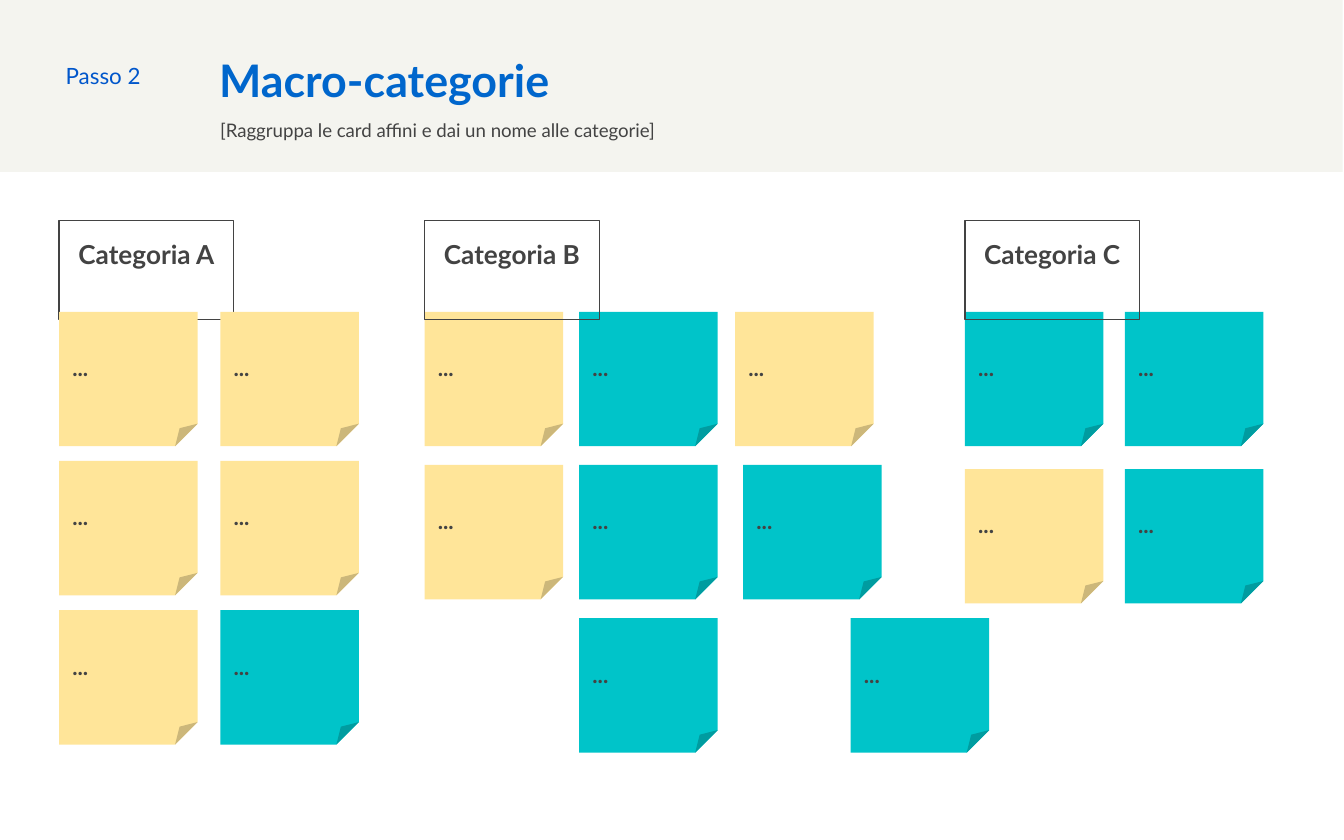
import pptx
import pptx.util
import pptx.dml.color
import pptx.enum.shapes
import pptx.enum.text

RGB = pptx.dml.color.RGBColor
KIND = pptx.enum.shapes.MSO_SHAPE
ALIGN = pptx.enum.text.PP_ALIGN
ANCHOR = pptx.enum.text.MSO_ANCHOR
FIT = pptx.enum.text.MSO_AUTO_SIZE

SAND = RGB(0xF4, 0xF4, 0xEF)
GREY = RGB(0x43, 0x43, 0x43)
BLUE = RGB(0x00, 0x66, 0xCC)
NAVY = RGB(0x00, 0x56, 0xCB)
GOLD = RGB(0xFF, 0xE5, 0x99)
TEAL = RGB(0x00, 0xC4, 0xC9)

WIDE, HIGH = pptx.util.Inches(10), pptx.util.Inches(6.25)
UNIT = WIDE / 100
PAD = pptx.util.Inches(0.1)
CARD = (10.3, 10)
LABEL = (13, 7.4)
DROP = 6.8

GROUPS = [
    ("Categoria A", (4.4, 16.4), 11.1, False,
     [[(0, GOLD), (12, GOLD)], [(0, GOLD), (12, GOLD)], [(0, GOLD), (12, TEAL)]]),
    ("Categoria B", (31.6, 16.4), 11.4, True,
     [[(0, GOLD), (11.5, TEAL), (23.1, GOLD)],
      [(0, GOLD), (11.5, TEAL), (23.7, TEAL)],
      [(11.5, TEAL), (31.7, TEAL)]]),
    ("Categoria C", (71.8, 16.4), 11.7, True,
     [[(0, TEAL), (11.9, TEAL)], [(0, GOLD), (11.9, TEAL)]]),
]


def span(*cells):
    """Turn grid cells into slide lengths."""
    return [pptx.util.Emu(round(cell * UNIT)) for cell in cells]


def apply(item, style):
    """Set each value of a style on an object."""
    for name, value in style.items():
        setattr(item, name, value)


def write(shape, text, size, color, bold=False, anchor=ANCHOR.MIDDLE,
          align=ALIGN.LEFT, lead=1.0):
    """Put one formatted line of text in a shape."""
    frame = shape.text_frame
    frame.text = text
    apply(frame, dict(word_wrap=True, auto_size=FIT.NONE, vertical_anchor=anchor,
                      margin_left=PAD, margin_right=PAD,
                      margin_top=PAD, margin_bottom=PAD))
    line = frame.paragraphs[0]
    apply(line, dict(alignment=align, line_spacing=lead))
    font = line.runs[0].font
    apply(font, dict(name="Lato", size=pptx.util.Pt(size), bold=bold))
    font.color.rgb = color


def draw(slide, kind, box, fill=None, edge=None):
    """Add a flat shape with an optional fill and outline."""
    shape = slide.shapes.add_shape(kind, *span(*box))
    shape.shadow.inherit = False
    if fill is None:
        shape.fill.background()
    else:
        shape.fill.solid()
        shape.fill.fore_color.rgb = fill
    if edge is None:
        shape.line.fill.background()
    else:
        shape.line.color.rgb = edge
        shape.line.width = pptx.util.Pt(0.75)
    return shape


def label(slide, name, left, top):
    """Place the name box of a group."""
    shape = draw(slide, KIND.RECTANGLE, (left, top, *LABEL), edge=GREY)
    write(shape, name, 14, GREY, True, ANCHOR.TOP, ALIGN.CENTER, 1.15)


def card(slide, left, top, fill):
    """Place one sticky note."""
    shape = draw(slide, KIND.FOLDED_CORNER, (left, top, *CARD), fill)
    write(shape, "...", 12, GREY, True)


def group(slide, name, spot, pitch, front, rows):
    """Place a named group of notes from its top left corner."""
    left, top = spot
    if not front:
        label(slide, name, left, top)
    for row, notes in enumerate(rows):
        for shift, fill in notes:
            card(slide, left + shift, top + DROP + row * pitch, fill)
    if front:
        label(slide, name, left, top)


def header(slide, left, top, width, height):
    """Place the band with step, title and hint."""
    draw(slide, KIND.RECTANGLE, (left, top, width, height), SAND)
    title = slide.shapes.title
    slide.shapes._spTree.append(title._element)
    place = span(left + 15.4, top + 4.2, 79.2, 4.1)
    apply(title, dict(zip(("left", "top", "width", "height"), place)))
    write(title, "Macro-categorie", 24, BLUE, True)
    hint = slide.shapes.add_textbox(*span(left + 15.5, top + 7.9, 58, 3.4))
    write(hint, "[Raggruppa le card affini e dai un nome alle categorie]",
          10, GREY, anchor=ANCHOR.TOP, lead=1.15)
    step = slide.shapes.add_textbox(*span(left + 4, top + 4.2, 11.1, 3.4))
    write(step, "Passo 2", 12, NAVY)


def main():
    """Build and save the slide."""
    deck = pptx.Presentation()
    apply(deck, dict(slide_width=WIDE, slide_height=HIGH))
    slide = deck.slides.add_slide(deck.slide_layouts[5])
    header(slide, -0.1, -0.3, 100, 13.1)
    for parts in GROUPS:
        group(slide, *parts)
    deck.save("out.pptx")


if __name__ == "__main__":
    main()
